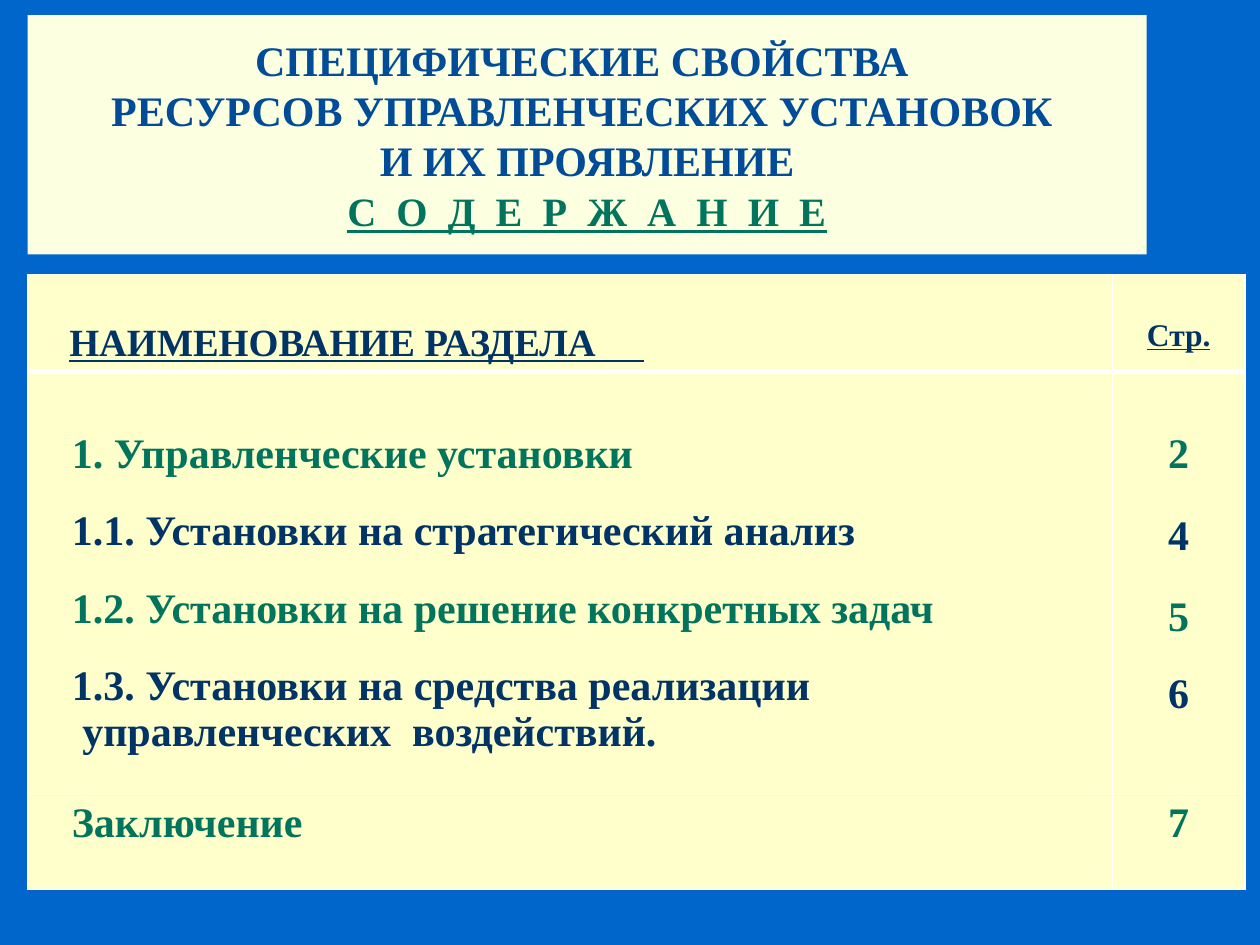
from lxml import etree
from pptx import Presentation
from pptx import util as u
from pptx.dml.color import RGBColor
from pptx.enum import shapes, text
from pptx.oxml.ns import qn

COLORS = {
    "background": "0066CC",
    "title_fill": "FDFFE1",
    "cell_fill": "FFFFCC",
    "border": "FFFFFF",
    "blue": "004C99",
    "navy": "003366",
    "green": "00745C",
}
FONT = "Times New Roman"
TITLE = [
    ("СПЕЦИФИЧЕСКИЕ СВОЙСТВА ", 24, "blue", False),
    ("РЕСУРСОВ УПРАВЛЕНЧЕСКИХ УСТАНОВОК ", 24, "blue", False),
    ("И ИХ ПРОЯВЛЕНИЕ", 24, "blue", False),
    ("С  О  Д  Е  Р  Ж  А  Н  И  Е", 23, "green", True),
]
SECTIONS = [
    ("1. Управленческие установки", "green", 0),
    ("1.1. Установки на стратегический анализ", "navy", 17.7),
    ("1.2. Установки на решение конкретных задач", "green", 17.7),
    ("1.3. Установки на средства реализации", "navy", 17.7),
    (" управленческих  воздействий.", "navy", 0),
]
PAGES = [("2", "green", 0), ("4", "navy", 20.3), ("5", "green", 19.7), ("6", "navy", 17.7)]
COLUMN_WIDTHS = [8.61, 1.05]
ROW_HEIGHTS = [0.77, 0.42, 2.93, 0.76]
RULES = {0: (1, 3), 1: (3, 0), 2: (0, 1), 3: (1, 1)}


def rgb(name):
    return RGBColor.from_string(COLORS[name])


def write_line(frame, index, words, size, color, underline=False, centered=True, before=0):
    para = frame.paragraphs[0] if index == 0 else frame.add_paragraph()
    para.text = words
    para.alignment = text.PP_ALIGN.CENTER if centered else text.PP_ALIGN.LEFT
    para.space_before = u.Pt(before)
    font = para.font
    font.name, font.size, font.bold, font.underline = FONT, u.Pt(size), True, underline
    font.color.rgb = rgb(color)
    return para


def add_title(page):
    box = page.shapes.add_shape(
        shapes.MSO_SHAPE.RECTANGLE, u.Inches(0.22), u.Inches(0.12), u.Inches(8.88), u.Inches(1.9))
    box.shadow.inherit = False
    box.fill.solid()
    box.fill.fore_color.rgb = rgb("title_fill")
    box.line.fill.background()
    frame = box.text_frame
    frame.word_wrap = True
    frame.vertical_anchor = text.MSO_ANCHOR.MIDDLE
    for index, (words, size, color, underline) in enumerate(TITLE):
        para = write_line(frame, index, words, size, color, underline)
        para.line_spacing = u.Pt(28.6)


def set_borders(cell, top, bottom):
    properties = cell._tc.get_or_add_tcPr()
    sides = [("a:lnL", 1), ("a:lnR", 1), ("a:lnT", top), ("a:lnB", bottom)]
    for index, (tag, width) in enumerate(sides):
        line = etree.Element(qn(tag), w=str(int(u.Pt(width))))
        if width:
            fill = etree.SubElement(line, qn("a:solidFill"))
            etree.SubElement(fill, qn("a:srgbClr"), val=COLORS["border"])
        else:
            etree.SubElement(line, qn("a:noFill"))
        properties.insert(index, line)


def add_contents_table(page):
    table = page.shapes.add_table(
        len(ROW_HEIGHTS), len(COLUMN_WIDTHS), u.Inches(0.22), u.Inches(2.18),
        u.Inches(sum(COLUMN_WIDTHS)), u.Inches(sum(ROW_HEIGHTS))).table
    for column, width in zip(table.columns, COLUMN_WIDTHS):
        column.width = u.Inches(width)
    for index, (row, height) in enumerate(zip(table.rows, ROW_HEIGHTS)):
        row.height = u.Inches(height)
        for cell in row.cells:
            cell.fill.solid()
            cell.fill.fore_color.rgb = rgb("cell_fill")
            set_borders(cell, *RULES[index])
        row.cells[0].margin_left = u.Inches(0.35)
    return table


def fill_header(cell, words, size, margin_bottom, centered):
    cell.vertical_anchor = text.MSO_ANCHOR.BOTTOM
    cell.margin_bottom = u.Inches(margin_bottom)
    write_line(cell.text_frame, 0, words, size, "navy", True, centered)


def fill_entries(cell, entries, centered):
    for index, (words, color, before) in enumerate(entries):
        write_line(cell.text_frame, index, words, 24, color, centered=centered, before=before)


def main():
    deck = Presentation()
    deck.slide_width, deck.slide_height = u.Inches(10), u.Inches(7.5)
    page = deck.slides.add_slide(deck.slide_layouts[6])
    page.background.fill.solid()
    page.background.fill.fore_color.rgb = rgb("background")
    add_title(page)
    table = add_contents_table(page)
    fill_header(table.cell(0, 0), "НАИМЕНОВАНИЕ РАЗДЕЛА     ", 22, 0.05, False)
    fill_header(table.cell(0, 1), "Стр.", 18, 0.15, True)
    table.cell(0, 0).margin_left = u.Inches(0.33)
    fill_entries(table.cell(2, 0), SECTIONS, False)
    fill_entries(table.cell(2, 1), PAGES, True)
    fill_entries(table.cell(3, 0), [("Заключение", "green", 0)], False)
    fill_entries(table.cell(3, 1), [("7", "green", 0)], True)
    deck.save("out.pptx")


main()
